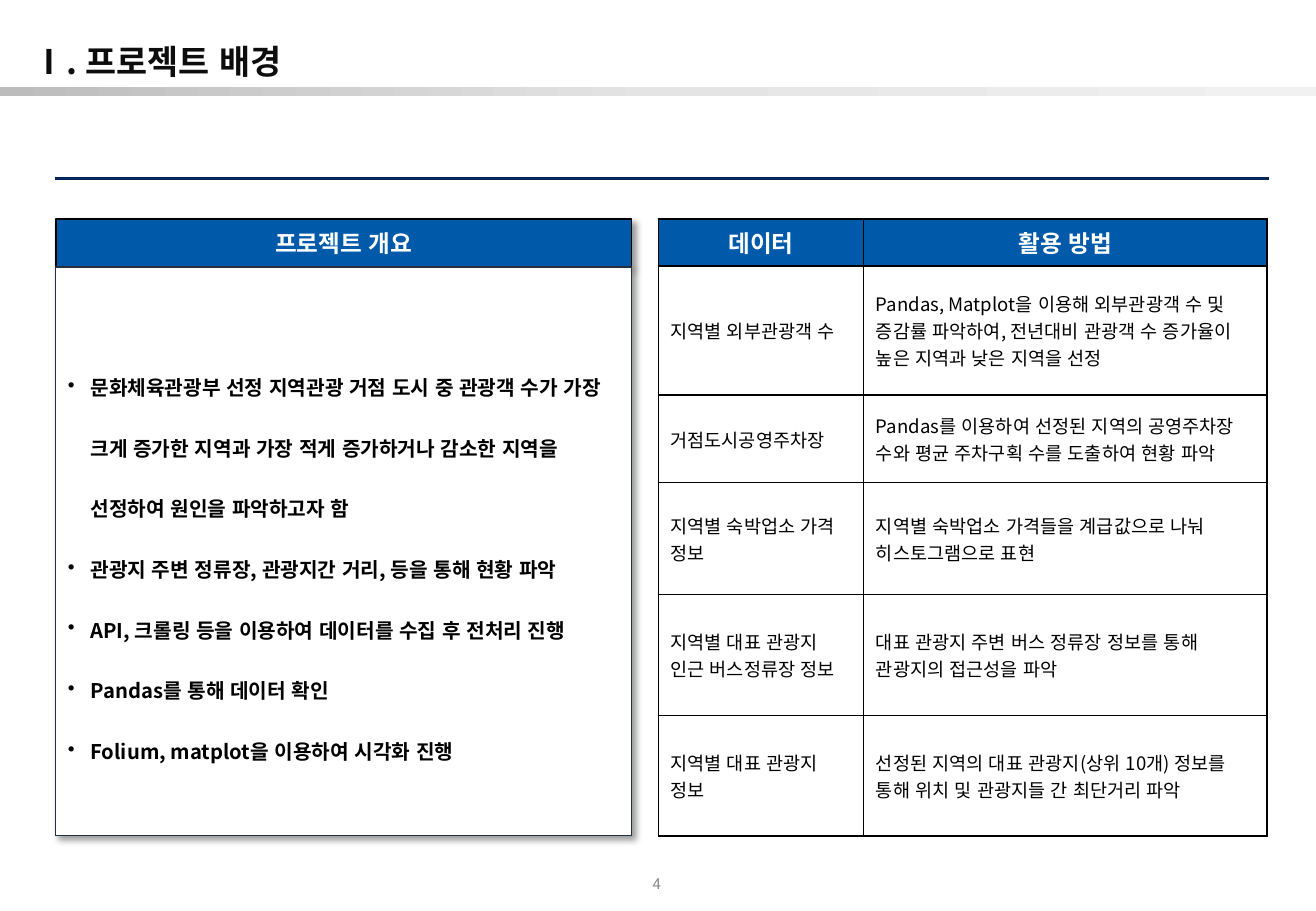
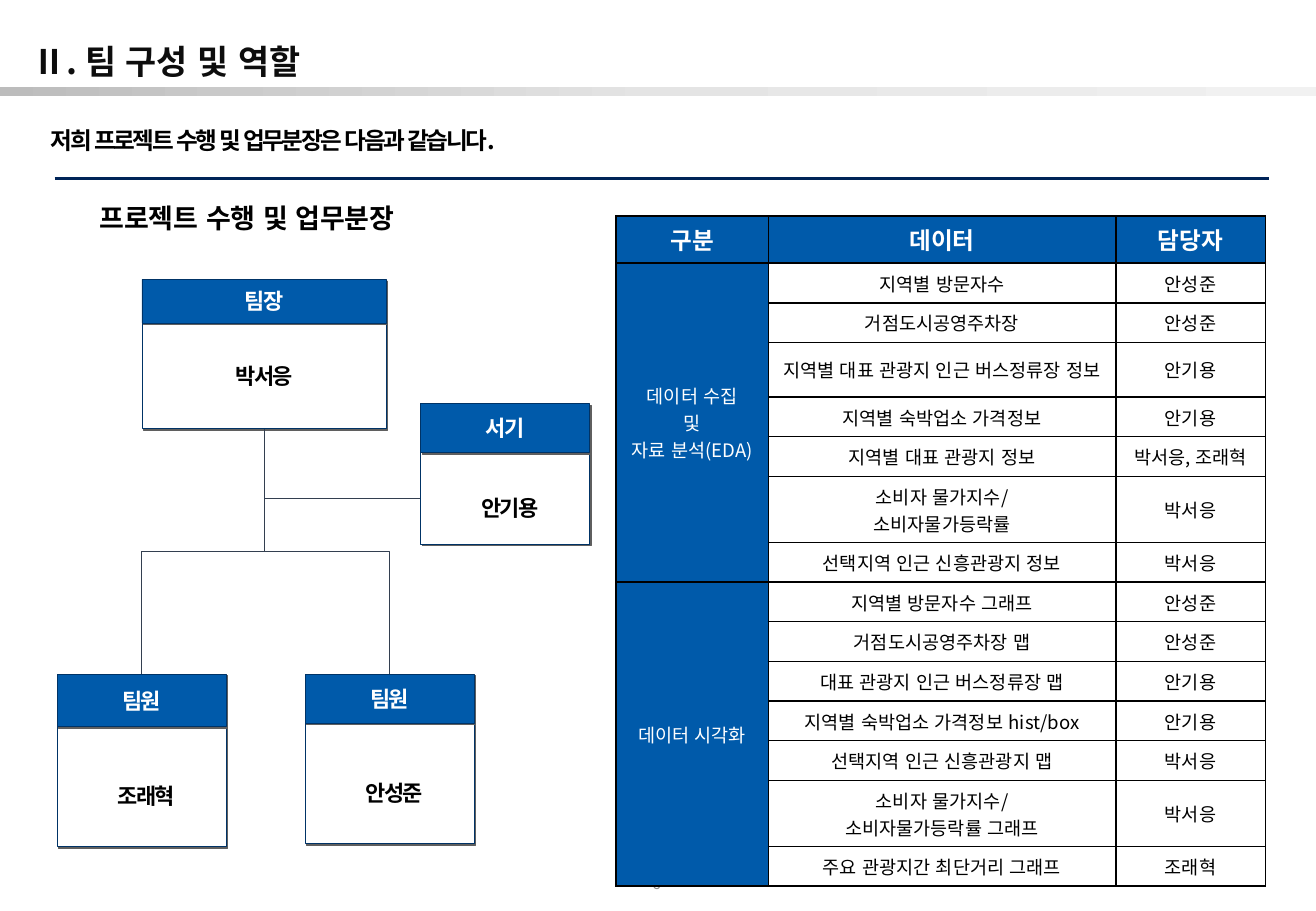
from lxml import etree
from pptx import Presentation
from pptx.dml.color import RGBColor
from pptx.enum.shapes import MSO_CONNECTOR, MSO_SHAPE
from pptx.enum.text import MSO_ANCHOR, PP_ALIGN
from pptx.oxml.ns import qn
from pptx.util import Pt

RECT = MSO_SHAPE.RECTANGLE
STRAIGHT, ELBOW = MSO_CONNECTOR.STRAIGHT, MSO_CONNECTOR.ELBOW
LEFT, CENTER, RIGHT = PP_ALIGN.LEFT, PP_ALIGN.CENTER, PP_ALIGN.RIGHT
TOP, MIDDLE = MSO_ANCHOR.TOP, MSO_ANCHOR.MIDDLE
KOREAN, LATIN = "Noto Sans CJK KR", "Roboto"
COLORS = {
    "blue": "005AAA", "navy": "002458", "edge": "003366", "panel_edge": "262F3B",
    "link": "333F50", "black": "000000", "white": "FFFFFF", "title": "0D0D0D",
    "page": "8C8C8C", "bar_dark": "BCBCBC", "bar_mid": "E4E4E4",
    "bar_light": "F1F1F1", "shade": "5F5F5F",
}
RGB = {name: RGBColor.from_string(value) for name, value in COLORS.items()}
SOFT_SHADOW = ("black", 40, 4, 3)
HARD_SHADOW = ("shade", 100, 0, 1.4)


def write(frame, lines, size, color, bold=True, align=LEFT, font=KOREAN,
          spacing=None, tracking=0, bullet=False):
    frame.word_wrap = True
    for index, line in enumerate(lines):
        p = frame.paragraphs[0] if index == 0 else frame.add_paragraph()
        p.text = line
        p.alignment = align
        if spacing:
            p.line_spacing = spacing
        p.font.size, p.font.bold, p.font.name = Pt(size), bold, font
        p.font.color.rgb = RGB[color]
        props = p._p.pPr
        defaults = props.find(qn("a:defRPr"))
        defaults.set("lang", "ko-KR")
        etree.SubElement(defaults, qn("a:ea"), typeface=KOREAN)
        if tracking:
            defaults.set("spc", str(round(tracking * 100)))
        if bullet:
            props.set("marL", str(Pt(13.5)))
            props.set("indent", str(-Pt(13.5)))
            mark = etree.Element(qn("a:buChar"), char="•")
            defaults.addprevious(mark)


def add_box(slide, place, insets, fill=None, line=None, width=0.5, shadow=None):
    place = [Pt(value) for value in place]
    if fill:
        box = slide.shapes.add_shape(RECT, *place)
        box.fill.solid()
        box.fill.fore_color.rgb = RGB[fill]
        box.line.color.rgb = RGB[line]
        box.line.width = Pt(width)
        box.shadow.inherit = False
        color, alpha, blur, distance = shadow
        effects = box._element.spPr.find(qn("a:effectLst"))
        outer = etree.SubElement(effects, qn("a:outerShdw"), blurRad=str(Pt(blur)),
                                 dist=str(Pt(distance)), dir="2700000",
                                 algn="tl", rotWithShape="0")
        tint = etree.SubElement(outer, qn("a:srgbClr"), val=COLORS[color])
        etree.SubElement(tint, qn("a:alpha"), val=str(alpha * 1000))
    else:
        box = slide.shapes.add_textbox(*place)
    frame = box.text_frame
    frame.vertical_anchor = MIDDLE
    frame.margin_left, frame.margin_top, frame.margin_right, frame.margin_bottom = map(Pt, insets)
    return box


prs = Presentation()
prs.slide_width, prs.slide_height = Pt(780), Pt(540)

slides = []
for number, title in (("4", "Ⅰ. 프로젝트 배경"), ("5", "Ⅱ. 팀 구성 및 역할")):
    slide = prs.slides.add_slide(prs.slide_layouts[6])
    slides.append(slide)
    page = add_box(slide, (378, 518.4, 13.7, 14.4), (0, 0, 0, 3.6))
    write(page.text_frame, [number], 9, "page", False, RIGHT, LATIN)
    page.text_frame.word_wrap = False

    bar = slide.shapes.add_shape(RECT, 0, Pt(51.8), prs.slide_width, Pt(5.4))
    bar.shadow.inherit = False
    bar.line.fill.background()
    bar.fill.gradient()
    bar.fill.gradient_angle = 0
    stops = bar._element.spPr.find(qn("a:gradFill")).find(qn("a:gsLst"))
    for stop in list(stops):
        stops.remove(stop)
    for position, color in ((0, "bar_dark"), (50, "bar_mid"), (100, "bar_light")):
        stop = etree.SubElement(stops, qn("a:gs"), pos=str(position * 1000))
        etree.SubElement(stop, qn("a:srgbClr"), val=COLORS[color])

    rule = slide.shapes.add_connector(STRAIGHT, Pt(32.4), Pt(105.8), Pt(752.4), Pt(105.8))
    rule.line.color.rgb = RGB["navy"]
    rule.line.width = Pt(1.75)
    etree.SubElement(rule._element.spPr, qn("a:effectLst"))

    heading = add_box(slide, (-0.7, 11.5, 780, 37.4), (20.2, 0, 0, 0))
    write(heading.text_frame, [title], 20, "title", spacing=1.5)
    heading.text_frame.paragraphs[0].space_after = Pt(7.3)

background, team = slides

overview = add_box(background, (33.1, 129.8, 341.3, 28.4), (0, 3.6, 0, 3.6),
                   "blue", "black", 1, SOFT_SHADOW)
write(overview.text_frame, ["프로젝트 개요"], 14, "white", align=CENTER, font=LATIN)
goals = add_box(background, (33.1, 158.2, 341.3, 337), (7.2, 3.6, 7.2, 3.6),
                "white", "panel_edge", 0.75, SOFT_SHADOW)
write(goals.text_frame, [
    "문화체육관광부 선정 지역관광 거점 도시 중 관광객 수가 가장 크게 증가한 지역과 "
    "가장 적게 증가하거나 감소한 지역을 선정하여 원인을 파악하고자 함",
    "관광지 주변 정류장, 관광지간 거리, 등을 통해 현황 파악",
    "API, 크롤링 등을 이용하여 데이터를 수집 후 전처리 진행",
    "Pandas를 통해 데이터 확인",
    "Folium, matplot을 이용하여 시각화 진행",
], 12, "black", spacing=2.5, bullet=True)

lead = add_box(team, (30.2, 65.5, 720, 34.6), (0, 3.6, 0, 3.6))
write(lead.text_frame, ["저희 프로젝트 수행 및 업무분장은 다음과 같습니다."], 14, "black", tracking=-1.4)
lead.text_frame.paragraphs[0].space_before = Pt(10)
chart_title = add_box(team, (59, 119.5, 663, 19.4), (0, 0, 0, 0))
write(chart_title.text_frame, ["프로젝트 수행 및 업무분장"], 16, "black")

even = (5.8, 3.6, 5.8, 3.6)
offset = (11.5, 2.9, 5.8, 0)
roles = []
for role, person, left, top, width, head, body, insets, spacing in (
    ("팀장", "박서응", 84.2, 165.6, 144.8, 25.9, 62.6, even, None),
    ("팀원", "조래혁", 33.8, 399.6, 100.2, 31, 71.2, offset, 1.5),
    ("팀원", "안성준", 180.8, 399.6, 100.2, 29.2, 71.2, offset, 1.5),
    ("서기", "안기용", 249.2, 239.2, 100.2, 29, 54.4, offset, 1.5),
):
    name_box = add_box(team, (left, top + head, width, body), insets,
                       "white", "edge", 0.5, HARD_SHADOW)
    write(name_box.text_frame, [person], 13, "black", align=CENTER, spacing=spacing, tracking=-0.9)
    role_box = add_box(team, (left, top, width, head), even, "blue", "edge", 0.5, HARD_SHADOW)
    write(role_box.text_frame, [role], 13, "white", align=CENTER, tracking=-0.9)
    roles.append((role_box, name_box))

leader, *members, clerk = roles
leader_name, clerk_name = leader[1], clerk[1]
trunk_x = leader_name.left + leader_name.width // 2
trunk_y = leader_name.top + leader_name.height
links = []
for member, _ in members:
    x, y = member.left + member.width // 2, member.top
    link = team.shapes.add_connector(ELBOW, x, y, trunk_x, trunk_y)
    link.begin_connect(member, 0)
    link.end_connect(leader_name, 2)
    link.width, link.height = y - trunk_y, abs(x - trunk_x)
    link.left = (x + trunk_x - link.width) // 2
    link.top = (y + trunk_y - link.height) // 2
    turn = link._element.spPr.find(qn("a:xfrm"))
    turn.set("rot", "5400000")
    turn.set("flipH", "1")
    turn.set("flipV", "1" if x < trunk_x else "0")
    links.append(link)
clerk_y = clerk_name.top + clerk_name.height // 2
clerk_link = team.shapes.add_connector(STRAIGHT, clerk_name.left, clerk_y, trunk_x, clerk_y)
clerk_link.begin_connect(clerk_name, 1)
for link in links + [clerk_link]:
    link.line.color.rgb = RGB["link"]
    link.line.width = Pt(0.5)
    etree.SubElement(link._element.spPr, qn("a:effectLst"))

usage = [
    ("데이터", "활용 방법"),
    ("지역별 외부관광객 수",
     "Pandas, Matplot을 이용해 외부관광객 수 및 증감률 파악하여, 전년대비 관광객 수 증가율이 높은 지역과 낮은 지역을 선정"),
    ("거점도시공영주차장", "Pandas를 이용하여 선정된 지역의 공영주차장 수와 평균 주차구획 수를 도출하여 현황 파악"),
    ("지역별 숙박업소 가격 정보", "지역별 숙박업소 가격들을 계급값으로 나눠 히스토그램으로 표현"),
    ("지역별 대표 관광지 인근 버스정류장 정보", "대표 관광지 주변 버스 정류장 정보를 통해 관광지의 접근성을 파악"),
    ("지역별 대표 관광지 정보",
     "선정된 지역의 대표 관광지(상위 10개) 정보를 통해 위치 및 관광지들 간 최단거리 파악"),
]
duties = [
    ("구분", "데이터", "담당자"),
    ("데이터 수집\n및\n자료 분석(EDA)", "지역별 방문자수", "안성준"),
    ("", "거점도시공영주차장", "안성준"),
    ("", "지역별 대표 관광지 인근 버스정류장 정보", "안기용"),
    ("", "지역별 숙박업소 가격정보", "안기용"),
    ("", "지역별 대표 관광지 정보", "박서응, 조래혁"),
    ("", "소비자 물가지수/\n소비자물가등락률", "박서응"),
    ("", "선택지역 인근 신흥관광지 정보", "박서응"),
    ("데이터 시각화", "지역별 방문자수 그래프", "안성준"),
    ("", "거점도시공영주차장 맵", "안성준"),
    ("", "대표 관광지 인근 버스정류장 맵", "안기용"),
    ("", "지역별 숙박업소 가격정보 hist/box", "안기용"),
    ("", "선택지역 인근 신흥관광지 맵", "박서응"),
    ("", "소비자 물가지수/\n소비자물가등락률 그래프", "박서응"),
    ("", "주요 관광지간 최단거리 그래프", "조래혁"),
]
duty_heights = [28] + [39.2 if "\n" in data else 23.5 for _, data, _ in duties[1:]]
duty_heights[3] = 32.4
for slide, rows, left, top, widths, heights, align, blue_columns, spans in (
    (background, usage, 390.2, 129.8, (121.8, 239), (28, 76.4, 51.9, 66.2, 72, 71.4), LEFT, 0, ()),
    (team, duties, 365.2, 128, (90.2, 206, 88.6), duty_heights, CENTER, 1, ((1, 7), (8, 14))),
):
    table = slide.shapes.add_table(len(rows), len(widths), Pt(left), Pt(top),
                                   Pt(sum(widths)), Pt(sum(heights))).table
    table.horz_banding = False
    for column, width in zip(table.columns, widths):
        column.width = Pt(width)
    for first, last in spans:
        table.cell(first, 0).merge(table.cell(last, 0))
    for r, texts in enumerate(rows):
        table.rows[r].height = Pt(heights[r])
        for c, text in enumerate(texts):
            cell = table.cell(r, c)
            header = r == 0
            blue = header or c < blue_columns
            cell.fill.solid()
            cell.fill.fore_color.rgb = RGB["blue" if blue else "white"]
            cell.vertical_anchor = TOP if header else MIDDLE
            if align == LEFT and not header:
                cell.margin_right = Pt(10)
            write(cell.text_frame, text.split("\n"), 14 if header else 11,
                  "white" if blue else "black", header, CENTER if header else align)
            props = cell._tc.tcPr
            for index, side in enumerate(("lnL", "lnR", "lnT", "lnB")):
                border = etree.Element(qn("a:" + side), w=str(Pt(1)))
                ink = etree.SubElement(border, qn("a:solidFill"))
                etree.SubElement(ink, qn("a:srgbClr"), val=COLORS["black"])
                props.insert(index, border)

prs.save("out.pptx")
